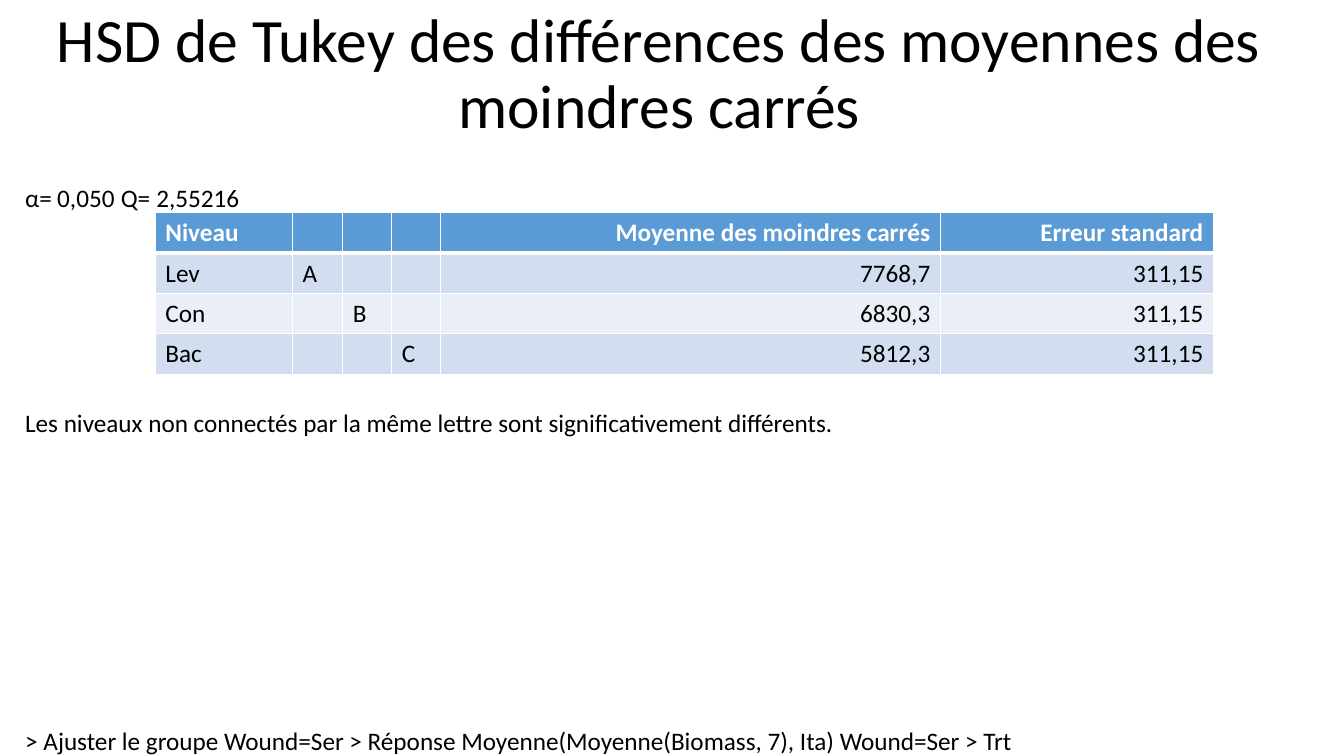
from lxml.etree import SubElement
from pptx import Presentation
from pptx.dml.color import RGBColor
from pptx.enum.text import MSO_ANCHOR, MSO_AUTO_SIZE, PP_ALIGN
from pptx.oxml.ns import qn
from pptx.util import Pt

COLORS = {"text": "000000", "header": "5B9BD5", "dark_band": "D2DEEF",
          "light_band": "EAEFF7", "line": "FFFFFF"}
BODY = {"name": "Calibri", "size": Pt(18), "bold": False}
HEADER = {**BODY, "bold": True}
TITLE = {**BODY, "size": Pt(44)}
TEXT_HEIGHT = 22
LEFT_MARGIN = 18

LEVELS = [
    ["Niveau", "", "", "", "Moyenne des moindres carrés", "Erreur standard"],
    ["Lev", "A", "", "", "7768,7", "311,15"],
    ["Con", "", "B", "", "6830,3", "311,15"],
    ["Bac", "", "", "C", "5812,3", "311,15"],
]
COLUMN_WIDTHS = [97.9, 36, 35, 34.9, 357, 195]
FIRST_NUMBER_COLUMN = 4
STATISTICS = [("α=", 21.5), ("0,050", 44), ("Q=", 24), ("2,55216", 64)]


def style_font(font, formats, color):
    """Apply the format values and a named colour to a font."""
    for name, value in formats.items():
        setattr(font, name, value)
    font.color.rgb = RGBColor.from_string(COLORS[color])


def add_title(page, text, left, top, width, height):
    """Fill and place the title placeholder."""
    title = page.shapes.title
    place = {"left": left, "top": top, "width": width, "height": height}
    for name, value in place.items():
        setattr(title, name, Pt(value))
    frame = title.text_frame
    frame.text = text
    frame.word_wrap = True
    frame.auto_size = MSO_AUTO_SIZE.NONE
    frame.vertical_anchor = MSO_ANCHOR.MIDDLE
    para = frame.paragraphs[0]
    para.alignment = PP_ALIGN.CENTER
    para.line_spacing = 0.9
    style_font(para.runs[0].font, TITLE, "text")


def add_line_of_text(page, text, left, top, width):
    """Add a single unwrapped line of body text without margins."""
    box = page.shapes.add_textbox(Pt(left), Pt(top), Pt(width), Pt(TEXT_HEIGHT))
    frame = box.text_frame
    for side in ("left", "top", "right", "bottom"):
        setattr(frame, f"margin_{side}", 0)
    frame.word_wrap = False
    frame.auto_size = MSO_AUTO_SIZE.SHAPE_TO_FIT_TEXT
    frame.text = text
    para = frame.paragraphs[0]
    para.alignment = PP_ALIGN.LEFT
    style_font(para.runs[0].font, BODY, "text")


def add_statistics(page, left, top, gap):
    """Set the test parameters side by side with an even gap."""
    for text, width in STATISTICS:
        add_line_of_text(page, text, left, top, width)
        left += width + gap


def add_borders(cell, widths):
    """Draw the cell borders, given a width for each side."""
    properties = cell._tc.get_or_add_tcPr()
    for side, width in widths.items():
        line = SubElement(properties, qn(f"a:ln{side}"), w=str(Pt(width)))
        fill = SubElement(line, qn("a:solidFill"))
        SubElement(fill, qn("a:srgbClr"), val=COLORS["line"])


def add_levels_table(page, left, top, row_height):
    """Add the table of levels with a header and banded rows."""
    size = (sum(COLUMN_WIDTHS), row_height * len(LEVELS))
    table = page.shapes.add_table(len(LEVELS), len(COLUMN_WIDTHS), Pt(left),
                                  Pt(top), Pt(size[0]), Pt(size[1])).table
    for column, width in zip(table.columns, COLUMN_WIDTHS):
        column.width = Pt(width)
    for row, values in enumerate(LEVELS):
        band = "header" if row == 0 else ("light_band", "dark_band")[row % 2]
        formats, color = (HEADER, "line") if row == 0 else (BODY, "text")
        widths = {"L": 1, "R": 1, "T": 3 if row == 1 else 1,
                  "B": 3 if row == 0 else 1}
        for column, value in enumerate(values):
            cell = table.cell(row, column)
            add_borders(cell, widths)
            cell.fill.solid()
            cell.fill.fore_color.rgb = RGBColor.from_string(COLORS[band])
            cell.text = value
            para = cell.text_frame.paragraphs[0]
            if column >= FIRST_NUMBER_COLUMN:
                para.alignment = PP_ALIGN.RIGHT
            for span in para.runs:
                style_font(span.font, formats, color)


def main():
    """Build and save the deck."""
    deck = Presentation()
    deck.slide_width, deck.slide_height = Pt(960), Pt(540)
    page = deck.slides.add_slide(deck.slide_layouts[5])
    add_title(page, "HSD de Tukey des différences des moyennes des moindres carrés",
              0, 0, 942, 108)
    add_statistics(page, LEFT_MARGIN, 130.3, 1.4)
    add_levels_table(page, 111, 152, 28.8)
    add_line_of_text(page, "Les niveaux non connectés par la même lettre sont "
                     "significativement différents.", LEFT_MARGIN, 291, 581)
    add_line_of_text(page, "> Ajuster le groupe Wound=Ser > Réponse "
                     "Moyenne(Moyenne(Biomass, 7), Ita) Wound=Ser > Trt",
                     LEFT_MARGIN, 518, 710)
    deck.save("out.pptx")


if __name__ == "__main__":
    main()
